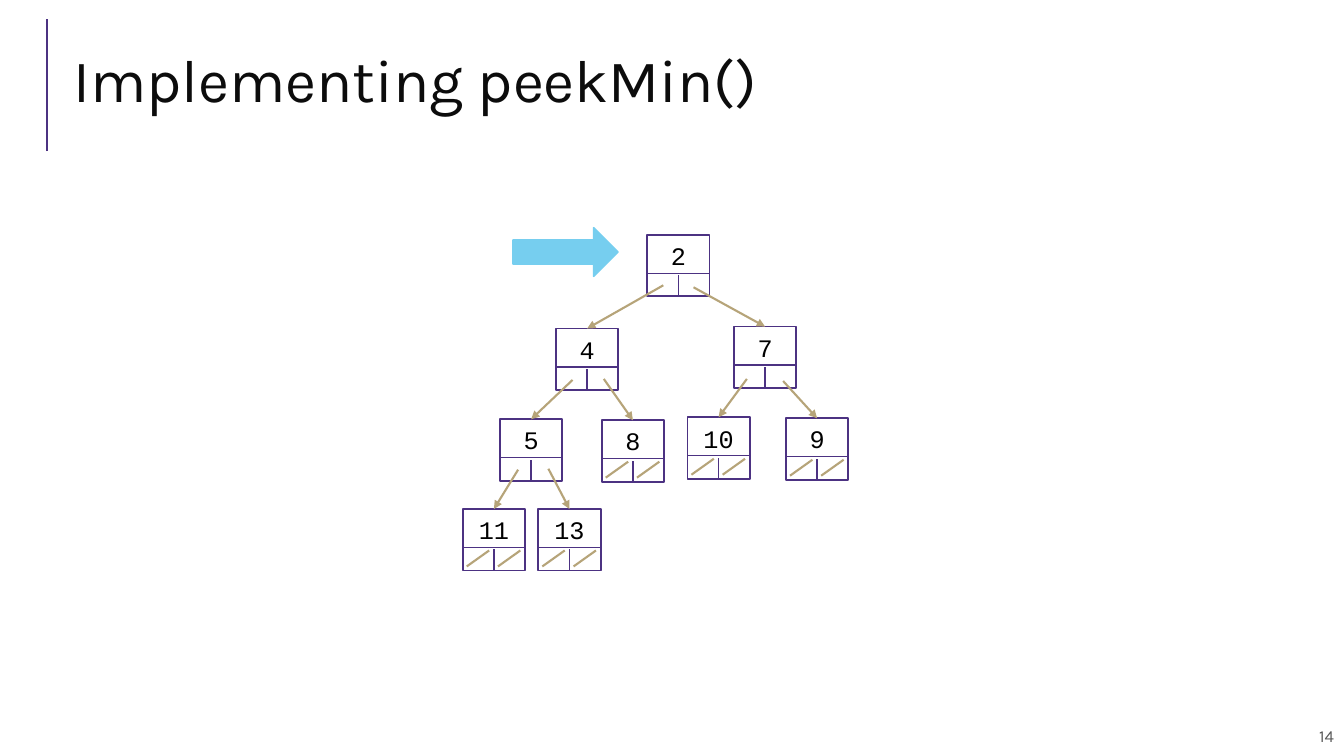
from pptx import Presentation
from pptx.dml.color import RGBColor
from pptx.enum.shapes import MSO_CONNECTOR as Connector, MSO_SHAPE as Shape
from pptx.enum.text import MSO_ANCHOR as Anchor, PP_ALIGN as Align
from pptx.oxml.ns import qn
from pptx.util import Pt
from lxml.etree import SubElement


def color(hex_code):
    return RGBColor.from_string(hex_code)


class TreeSlide:
    """Draws the heap diagram's elements on one slide, in points."""

    purple, gold, sky = "4C3282", "B6A479", "76CEEF"
    node_width, node_height, divider = 44.6, 43.9, 27.4

    def __init__(self, slide):
        self.shapes = slide.shapes

    def text(self, words, left, top, width, height, size, font="Karla", ink="000000",
             align=Align.LEFT, anchor=Anchor.TOP, wrap=True, spacing=1.0):
        frame = self.shapes.add_textbox(Pt(left), Pt(top), Pt(width), Pt(height)).text_frame
        frame.word_wrap = wrap
        frame.vertical_anchor = anchor
        paragraph = frame.paragraphs[0]
        paragraph.text = words
        paragraph.alignment = align
        paragraph.line_spacing = spacing
        paragraph.font.name = font
        paragraph.font.size = Pt(size)
        paragraph.font.color.rgb = color(ink)

    def line(self, start, end, ink, weight, arrow=False):
        connector = self.shapes.add_connector(
            Connector.STRAIGHT, *(Pt(value) for value in (*start, *end)))
        connector.line.color.rgb = color(ink)
        connector.line.width = Pt(weight)
        if arrow:
            SubElement(connector.line._get_or_add_ln(), qn("a:tailEnd"), type="triangle")
        SubElement(connector._element.spPr, qn("a:effectLst"))

    def block(self, kind, left, top, width, height, ink, fill=None):
        shape = self.shapes.add_shape(kind, Pt(left), Pt(top), Pt(width), Pt(height))
        shape.shadow.inherit = False
        shape.line.color.rgb = color(ink)
        shape.line.width = Pt(1.25)
        if fill:
            shape.fill.solid()
            shape.fill.fore_color.rgb = color(fill)
        else:
            shape.fill.background()

    def node(self, value, left, top, is_leaf):
        width, height = self.node_width, self.node_height
        middle, split = left + width / 2, top + self.divider
        self.block(Shape.RECTANGLE, left, top, width, height, self.purple)
        label_width = 14.4 + 10.8 * len(value)
        self.text(value, middle - label_width / 2, top + 0.4, label_width, 28.8, 18,
                  font="Courier New", align=Align.CENTER, wrap=False)
        self.line((left, split), (left + width, split), self.purple, 1)
        self.line((middle, top + height), (middle, split + 1.5), self.purple, 1)
        if is_leaf:
            for cell in (left, middle):
                self.line((cell + 18.9, top + 29.6), (cell + 2.9, top + 41), self.gold, 1.5)

    def pointer(self, start, child_left, child_top):
        self.line(start, (child_left + self.node_width / 2, child_top), self.gold, 1.5, arrow=True)


def main():
    presentation = Presentation()
    presentation.slide_width, presentation.slide_height = Pt(960), Pt(540)
    heap = TreeSlide(presentation.slides.add_slide(presentation.slide_layouts[6]))

    heap.line((33.8, 108), (33.8, 13.7), heap.purple, 1.5)
    heap.text("Implementing peekMin()", 45.4, 20.9, 880.6, 79.9, 43, ink="0C0C0C",
              anchor=Anchor.MIDDLE, spacing=0.8)
    heap.text("14", 622.8, 511.2, 337.2, 28.8, 12, ink="595959",
              align=Align.RIGHT, anchor=Anchor.MIDDLE)

    positions = {
        "2": (462.2, 167.8), "4": (397.1, 234.7), "7": (524.2, 233.3),
        "5": (357.1, 299.5), "8": (429.8, 300.2), "10": (491, 298.1),
        "9": (561.4, 298.8), "11": (330.5, 363.6), "13": (384.5, 363.6),
    }
    pointers = {
        ("2", "4"): (473.8, 203.8), ("2", "7"): (495.4, 205.2),
        ("4", "5"): (409, 271.4), ("4", "8"): (431.3, 270.7),
        ("7", "10"): (533.5, 270.7), ("7", "9"): (559.4, 272.2),
        ("5", "11"): (370.1, 335.5), ("5", "13"): (391.7, 334.8),
    }
    parents = {parent for parent, _ in pointers}
    for value, position in positions.items():
        heap.node(value, *position, is_leaf=value not in parents)
    for (_, child), start in pointers.items():
        heap.pointer(start, *positions[child])

    heap.block(Shape.RIGHT_ARROW, 366.5, 162.7, 74.9, 34.6, heap.sky, fill=heap.sky)
    presentation.save("out.pptx")


if __name__ == "__main__":
    main()
